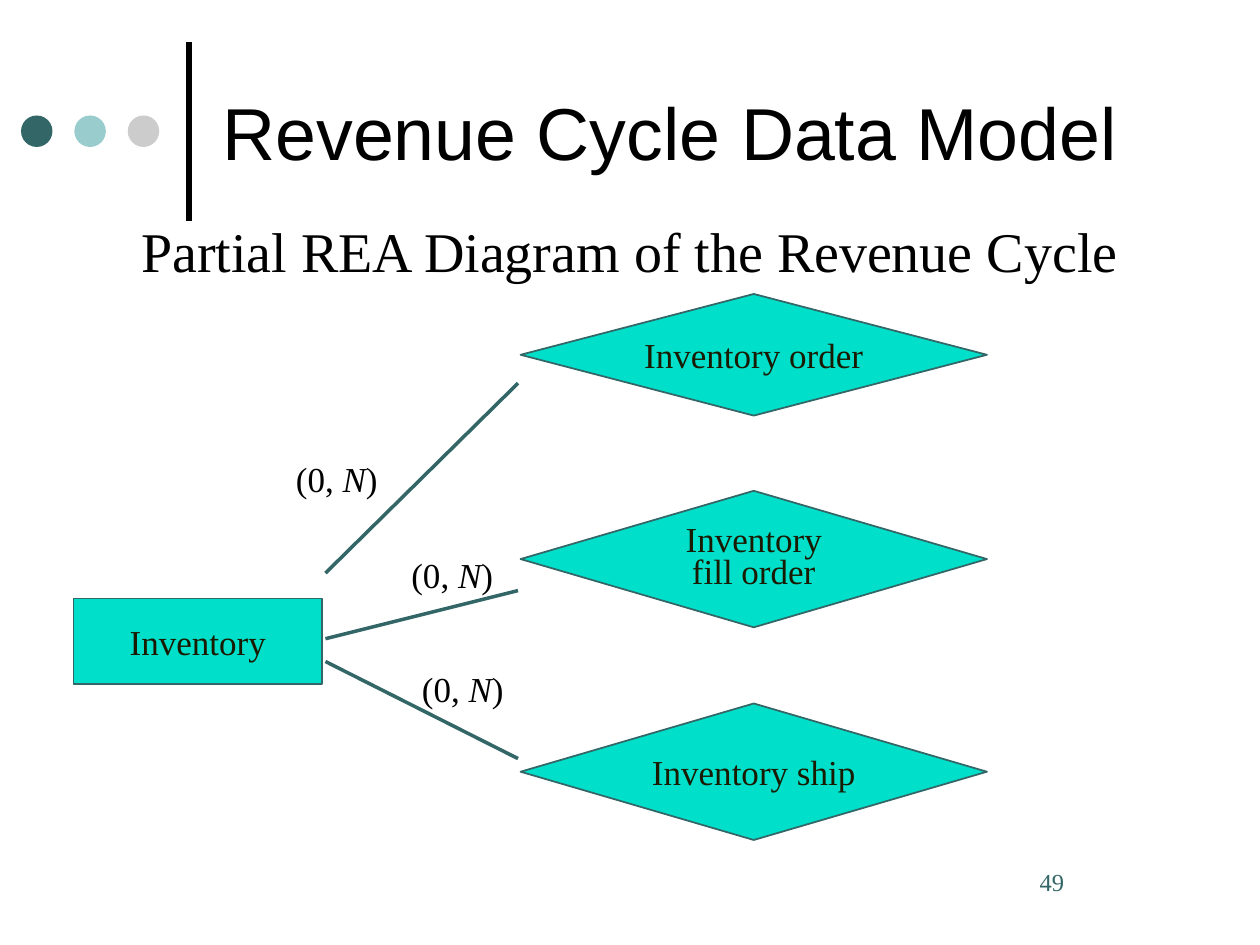
import dataclasses

import pptx
import pptx.dml.color
import pptx.enum.shapes
import pptx.enum.text
import pptx.oxml.ns
import pptx.util
from lxml import etree

Pt = pptx.util.Pt
RGB = pptx.dml.color.RGBColor.from_string
SHAPE = pptx.enum.shapes.MSO_SHAPE
ALIGN = pptx.enum.text.PP_ALIGN
ANCHOR = pptx.enum.text.MSO_ANCHOR


@dataclasses.dataclass(frozen=True)
class Theme:
    black: str = "000000"
    teal: str = "336666"
    aqua: str = "00DFCA"
    node_text: str = "1A1A00"
    dots: tuple = ("336666", "99CCCC", "CCCCCC")
    heading_font: str = "Arial"
    body_font: str = "Times New Roman"
    title_size: int = 42
    subtitle_size: int = 32
    body_size: int = 20
    number_size: int = 14


THEME = Theme()


def add_run(p, text, size, color, font=THEME.body_font, italic=False):
    r = p.add_run()
    r.text = text
    r.font.size = Pt(size)
    r.font.name = font
    r.font.italic = italic
    r.font.color.rgb = RGB(color)


def add_text_box(slide, box, anchor=ANCHOR.TOP, align=ALIGN.LEFT):
    """Add an empty text box and return its first paragraph."""
    tf = slide.shapes.add_textbox(*map(Pt, box)).text_frame
    tf.word_wrap = True
    tf.vertical_anchor = anchor
    p = tf.paragraphs[0]
    p.alignment = align
    return p


def add_filled_shape(slide, kind, box, fill, line=None):
    sp = slide.shapes.add_shape(kind, *map(Pt, box))
    sp.shadow.inherit = False
    sp.fill.solid()
    sp.fill.fore_color.rgb = RGB(fill)
    if line:
        sp.line.color.rgb = RGB(line)
        sp.line.width = Pt(1)
    else:
        sp.line.fill.background()
    return sp


def add_node(slide, kind, box, lines):
    """Add an entity or event shape with centred lines of text."""
    tf = add_filled_shape(slide, kind, box, THEME.aqua, THEME.teal).text_frame
    tf.word_wrap = False
    tf.vertical_anchor = ANCHOR.MIDDLE
    for i, text in enumerate(lines):
        p = tf.add_paragraph() if i else tf.paragraphs[0]
        p.alignment = ALIGN.CENTER
        if len(lines) > 1:
            p.line_spacing = 0.75
        add_run(p, text, THEME.body_size, THEME.node_text)


def add_line(slide, start, end, color, width):
    cx = slide.shapes.add_connector(
        pptx.enum.shapes.MSO_CONNECTOR.STRAIGHT, *map(Pt, start + end))
    cx.line.color.rgb = RGB(color)
    cx.line.width = Pt(width)
    etree.SubElement(cx._element.spPr, pptx.oxml.ns.qn("a:effectLst"))


def add_cardinality(slide, left, top):
    p = add_text_box(slide, (left, top, 77, 31))
    for text, italic in (("(0, ", False), ("N", True), (")", False)):
        add_run(p, text, THEME.body_size, THEME.black, italic=italic)


def add_header(slide):
    add_line(slide, (108, 126), (108, 24), THEME.black, 3)
    for i, color in enumerate(THEME.dots):
        add_filled_shape(slide, SHAPE.OVAL, (12 + 30.5 * i, 66, 18, 18), color)
    p = add_text_box(slide, (120, 15, 552, 120), ANCHOR.MIDDLE)
    add_run(p, "Revenue Cycle Data Model", THEME.title_size, THEME.black,
            THEME.heading_font)
    p = add_text_box(slide, (60, 120, 600, 45), align=ALIGN.CENTER)
    add_run(p, "Partial REA Diagram of the Revenue Cycle",
            THEME.subtitle_size, THEME.black)


def add_diagram(slide):
    add_node(slide, SHAPE.RECTANGLE, (42, 342, 142, 49), ["Inventory"])
    # event lines, diamond top and height, link start and end, label position
    events = (
        (["Inventory order"], 168, 69.5, 327.5, 219, (162, 258)),
        (["Inventory", "fill order"], 280.5, 78, 365, 337.5, (228, 312.5)),
        (["Inventory ship"], 402, 78, 378, 433.5, (234, 378)),
    )
    for lines, top, height, start_y, end_y, label in events:
        add_node(slide, SHAPE.DIAMOND, (297.5, top, 266.5, height), lines)
        add_line(slide, (186, start_y), (296, end_y), THEME.teal, 2)
        add_cardinality(slide, *label)


def add_slide_number(slide, number):
    p = add_text_box(slide, (587, 492, 85, 36))
    add_run(p, number, THEME.number_size, THEME.teal)


def main():
    prs = pptx.Presentation()
    prs.slide_width, prs.slide_height = Pt(720), Pt(540)
    slide = prs.slides.add_slide(prs.slide_layouts[6])
    add_header(slide)
    add_diagram(slide)
    add_slide_number(slide, "49")
    prs.save("out.pptx")


if __name__ == "__main__":
    main()
